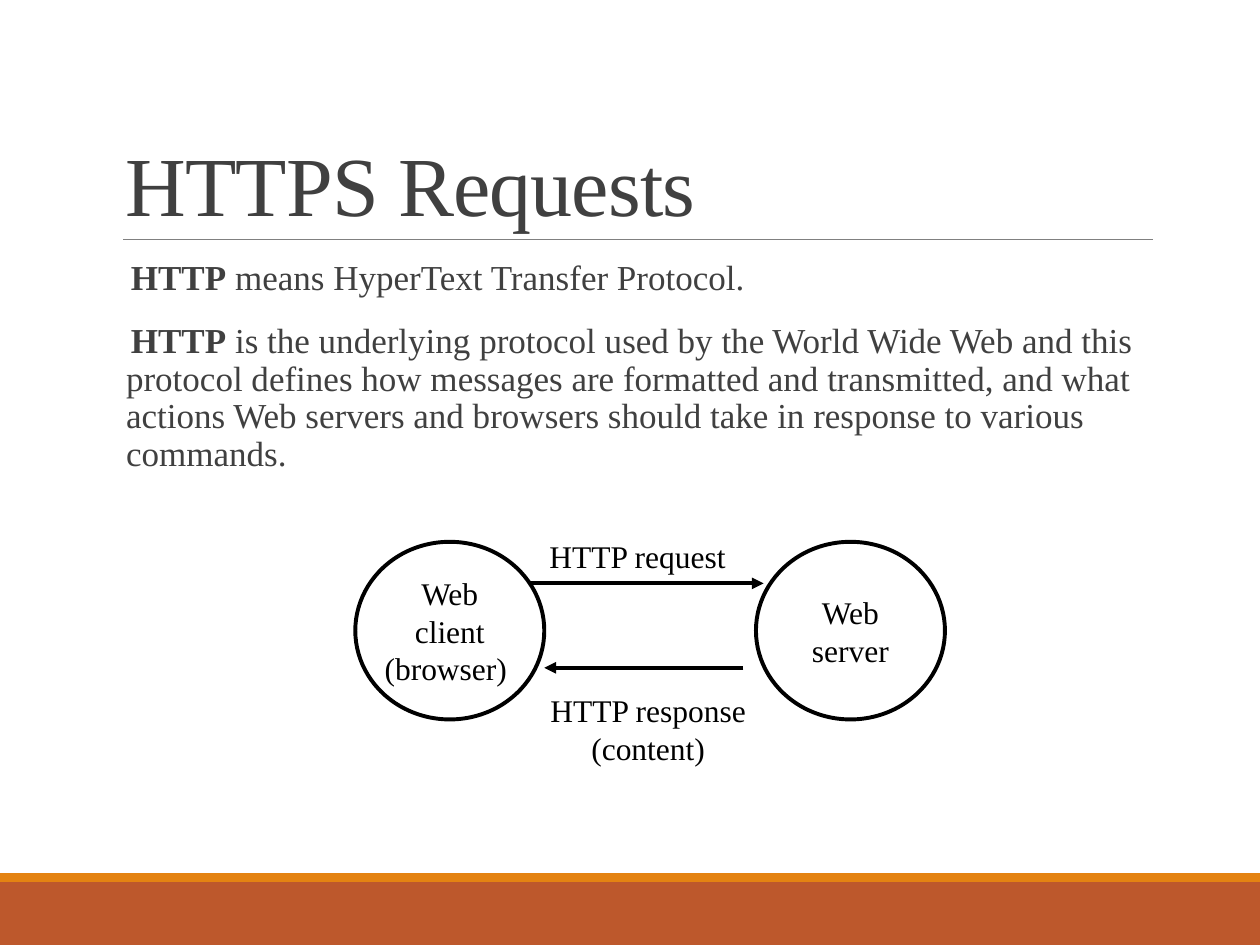
"""Build the HTTPS Requests slide with a client and server diagram."""
from dataclasses import dataclass

from pptx import Presentation
from pptx import util as u
from pptx.dml.color import RGBColor
from pptx.enum import shapes, text
from pptx.oxml import ns
from lxml import etree

FONT = "Times New Roman"
BLACK, GREY, WHITE, ORANGE = "000000", "404040", "FFFFFF", "E48312"


@dataclass
class Box:
    x: float
    y: float
    w: float
    h: float

    def lengths(self) -> list:
        return [u.Inches(v) for v in (self.x, self.y, self.w, self.h)]


@dataclass
class Node:
    box: Box
    lines: tuple


@dataclass
class Arrow:
    x1: float
    x2: float
    y: float


def color(value: str) -> RGBColor:
    return RGBColor.from_string(value)


def add_run(p, content: str, size: float, rgb: str, bold: bool = False):
    r = p.add_run()
    r.text = content
    r.font.name, r.font.size, r.font.bold = FONT, u.Pt(size), bold
    r.font.color.rgb = color(rgb)
    return r


def paragraph(tf, index: int):
    return tf.paragraphs[0] if index == 0 else tf.add_paragraph()


def add_shape(s, kind, box: Box, fill: str):
    sp = s.shapes.add_shape(kind, *box.lengths())
    sp.shadow.inherit = False
    sp.fill.solid()
    sp.fill.fore_color.rgb = color(fill)
    sp.line.fill.background()
    return sp


def add_labels(sp, lines: tuple) -> None:
    tf = sp.text_frame
    tf.word_wrap = False
    tf.vertical_anchor = text.MSO_ANCHOR.MIDDLE
    for i, line in enumerate(lines):
        p = paragraph(tf, i)
        p.alignment = text.PP_ALIGN.CENTER
        add_run(p, line, 18, BLACK)


def add_node(s, node: Node) -> None:
    sp = add_shape(s, shapes.MSO_SHAPE.OVAL, node.box, WHITE)
    sp.line.color.rgb = color(BLACK)
    sp.line.width = u.Pt(2.25)
    add_labels(sp, node.lines)


def add_label(s, node: Node) -> None:
    sp = s.shapes.add_textbox(*node.box.lengths())
    add_labels(sp, node.lines)
    sp.text_frame.auto_size = text.MSO_AUTO_SIZE.SHAPE_TO_FIT_TEXT


def add_line(s, arrow: Arrow, rgb: str, width: float, head: bool = True) -> None:
    y = u.Inches(arrow.y)
    c = s.shapes.add_connector(shapes.MSO_CONNECTOR.STRAIGHT,
                               u.Inches(arrow.x1), y, u.Inches(arrow.x2), y)
    c.line.color.rgb = color(rgb)
    c.line.width = u.Pt(width)
    if head:
        etree.SubElement(c.line._get_or_add_ln(), ns.qn("a:tailEnd"), type="triangle")
    etree.SubElement(c._element.spPr, ns.qn("a:effectLst"))


def add_title(s, content: str) -> None:
    tf = s.shapes.add_textbox(*Box(0.9, 0.31, 8.25, 1.59).lengths()).text_frame
    tf.word_wrap = True
    tf.vertical_anchor = text.MSO_ANCHOR.BOTTOM
    p = tf.paragraphs[0]
    p.line_spacing = 0.85
    r = add_run(p, content, 48, GREY)
    r.font._element.set("spc", "-50")


def add_body(s, paragraphs: tuple) -> None:
    tf = s.shapes.add_textbox(*Box(0.9, 2.02, 8.25, 4.4).lengths()).text_frame
    tf.word_wrap = True
    tf.margin_left = tf.margin_right = 0
    for i, (term, rest) in enumerate(paragraphs):
        p = paragraph(tf, i)
        p.line_spacing, p.space_before, p.space_after = 0.9, u.Pt(12), u.Pt(2)
        pPr = p._p.get_or_add_pPr()
        pPr.set("marL", str(u.Inches(0.1)))
        pPr.set("indent", str(-u.Inches(0.1)))
        bu = etree.SubElement(pPr, ns.qn("a:buClr"))
        etree.SubElement(bu, ns.qn("a:srgbClr"), val=ORANGE)
        etree.SubElement(pPr, ns.qn("a:buChar"), char=" ")
        add_run(p, term, 20, GREY, True)
        add_run(p, rest, 20, GREY)


def main() -> None:
    prs = Presentation()
    prs.slide_width, prs.slide_height = u.Inches(10), u.Inches(7.5)
    s = prs.slides.add_slide(prs.slide_layouts[6])
    add_shape(s, shapes.MSO_SHAPE.RECTANGLE, Box(0, 7, 10, 0.5), "BD582C")
    add_shape(s, shapes.MSO_SHAPE.RECTANGLE, Box(0, 6.93, 10, 0.07), ORANGE)
    add_line(s, Arrow(0.98, 9.15, 1.9), "808080", 0.5, head=False)
    add_title(s, "HTTPS Requests")
    add_body(s, (
        ("HTTP", " means HyperText Transfer Protocol. "),
        ("HTTP", " is the underlying protocol used by the World Wide Web and this "
                 "protocol defines how messages are formatted and transmitted, and what "
                 "actions Web servers and browsers should take in response to various "
                 "commands."),
    ))
    add_node(s, Node(Box(6, 4.3, 1.5, 1.41), ("Web", "server")))
    add_line(s, Arrow(4.15, 6.06, 4.63), BLACK, 2.25)
    add_label(s, Node(Box(4.25, 4.21, 1.62, 0.4), ("HTTP request",)))
    add_line(s, Arrow(5.9, 4.32, 5.3), BLACK, 2.25)
    add_label(s, Node(Box(4.26, 5.43, 1.77, 0.71), ("HTTP response", "(content)")))
    add_node(s, Node(Box(2.82, 4.3, 1.5, 1.41), ("Web", "client", "(browser) ")))
    prs.save("out.pptx")


if __name__ == "__main__":
    main()
